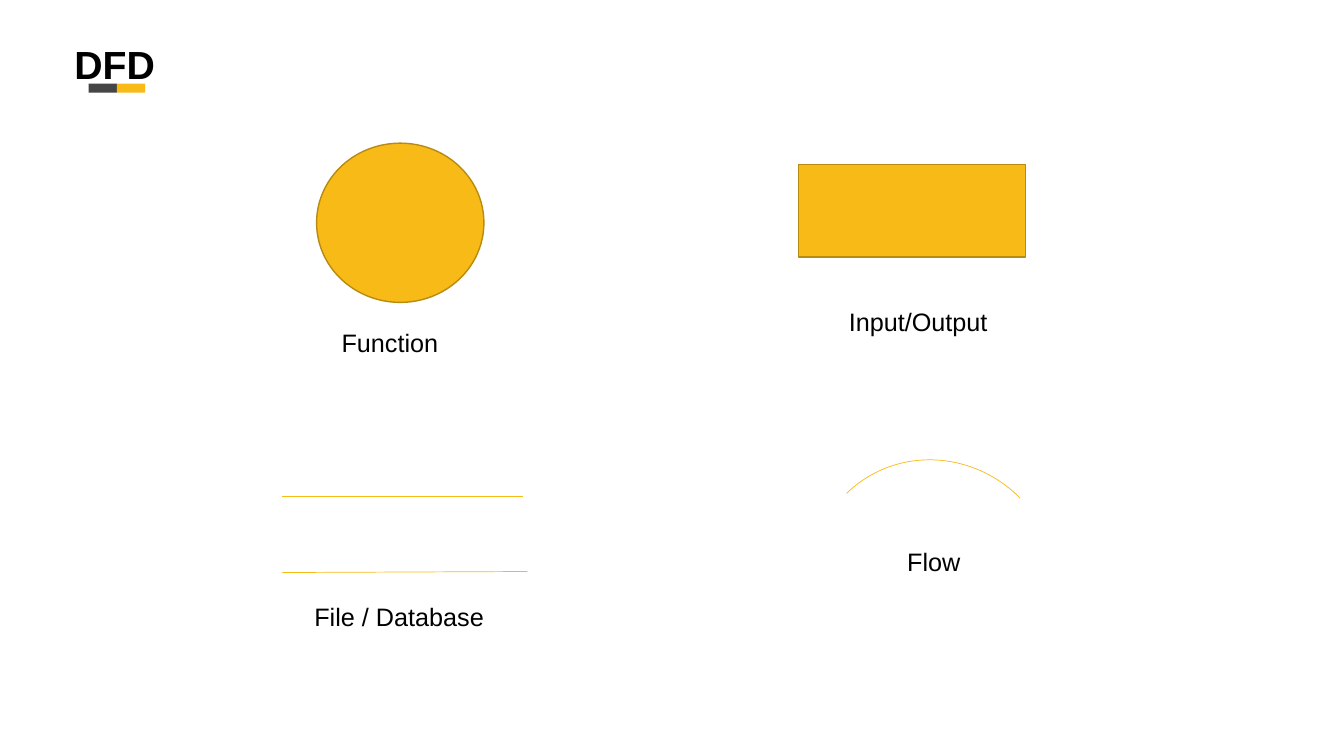
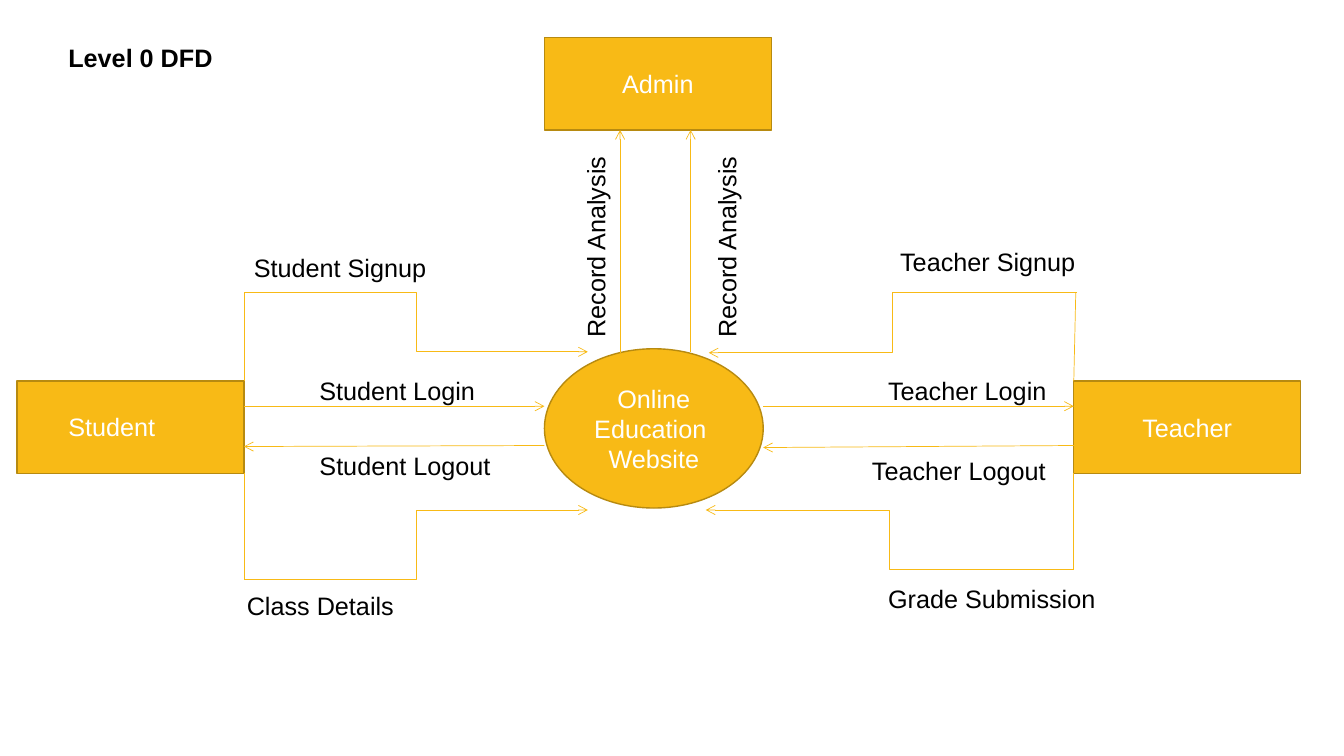
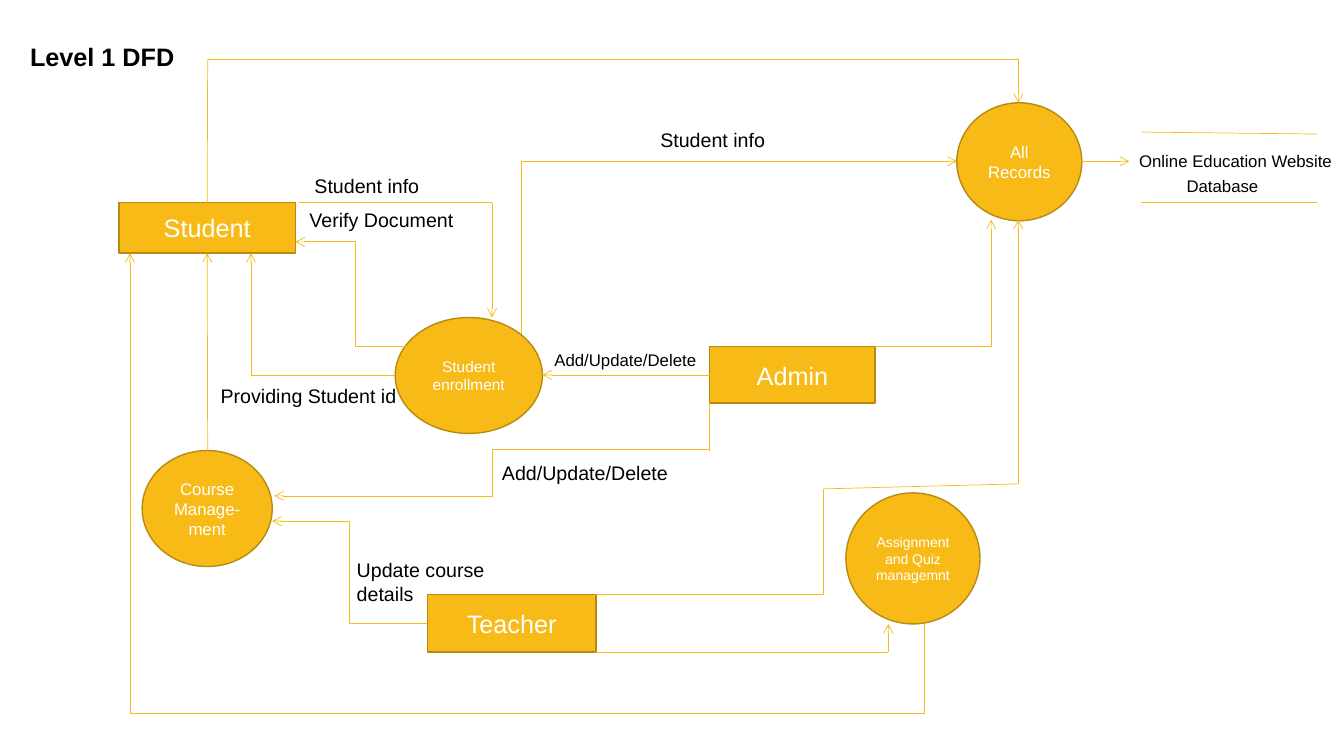
"""Build three slides on data flow diagrams: legend, level 0 and level 1."""
from itertools import pairwise

from lxml import etree
from pptx import Presentation
from pptx.dml.color import RGBColor
from pptx.enum import shapes, text
from pptx.oxml import ns
from pptx.util import Inches, Pt

AMBER = RGBColor(0xF8, 0xBA, 0x16)
BRONZE = RGBColor(0xB7, 0x8A, 0x10)
CHARCOAL = RGBColor(0x45, 0x45, 0x45)
BLACK = RGBColor(0, 0, 0)
WHITE = RGBColor(255, 255, 255)
FONT = "Arial"
RECT = shapes.MSO_SHAPE.RECTANGLE
OVAL = shapes.MSO_SHAPE.OVAL
STRAIGHT = shapes.MSO_CONNECTOR.STRAIGHT
ELBOW = shapes.MSO_CONNECTOR.ELBOW
LABEL_HEIGHT = {28: 0.57, 18: 0.4, 14: 0.34, 12: 0.3}

# Nodes: text, shape, left, top, width, height, size. Labels: text, left, top, width, options.
# A route point is a pair of inches, or a node's text with one of its connection sites.
LEGEND = {
    "title": ("DFD", 0.64, 0.35, 1.44, 28),
    "nodes": [
        ("", OVAL, 3.14, 1.42, 1.66, 1.58, 18),
        ("", RECT, 7.92, 1.63, 2.25, 0.92, 18),
    ],
    "labels": [
        ("Function", 3.29, 3.2, 1.17, {}),
        ("Input/Output", 8.32, 2.99, 1.59, {}),
        ("File / Database", 3.02, 5.92, 1.9, {}),
        ("Flow", 8.9, 5.37, 0.73, {}),
    ],
    "lines": [[(2.8, 4.92), (5.19, 4.92)], [(2.8, 5.68), (5.23, 5.67)]],
    "arrows": [],
    "elbows": [],
}

LEVEL_0 = {
    "title": ("Level 0 DFD", 0.58, 0.37, 1.83, 18),
    "nodes": [
        ("Online Education \nWebsite", OVAL, 5.4, 3.46, 2.17, 1.58, 18),
        ("Admin", RECT, 5.4, 0.37, 2.25, 0.92, 18),
        ("", RECT, 0.17, 3.78, 2.25, 0.92, 18),
        ("Teacher", RECT, 10.65, 3.78, 2.25, 0.92, 18),
    ],
    "labels": [
        ("Student", 0.58, 4.03, 1.42, {"color": WHITE, "wrap": True}),
        ("Student Login", 3.07, 3.67, 1.76, {}),
        ("Student Logout", 3.07, 4.42, 1.91, {}),
        ("Teacher Login", 8.71, 3.67, 1.79, {}),
        ("Teacher Logout", 8.55, 4.47, 1.94, {}),
        ("Student Signup", 2.42, 2.45, 1.93, {}),
        ("Class Details", 2.35, 5.81, 1.67, {}),
        ("Grade Submission", 8.71, 5.74, 2.28, {}),
        ("Teacher Signup", 8.83, 2.39, 1.96, {}),
        ("Record Analysis", 6.2, 2.24, 2.01, {"rotation": 270}),
        ("Record Analysis", 4.9, 2.24, 2.01, {"rotation": 270}),
    ],
    "lines": [
        [(2.42, 2.9), (2.42, 3.78)],
        [(2.42, 4.69), (2.42, 5.75)],
        [(10.67, 2.9), (10.65, 3.78)],
        [(10.65, 4.69), (10.65, 5.65)],
    ],
    "arrows": [
        [(7.57, 4.03), (10.65, 4.03)],
        [(10.65, 4.42), (7.57, 4.44)],
        [(2.42, 4.03), (5.4, 4.03)],
        [(5.4, 4.42), (2.42, 4.43)],
        [(6.15, 3.5), (6.15, 1.29)],
        [(6.85, 3.49), (6.85, 1.29)],
    ],
    "elbows": [
        [(2.42, 2.9), (5.83, 3.49)],
        [(2.42, 5.75), (5.83, 5.06)],
        [(10.65, 5.65), (7, 5.06)],
        [(10.68, 2.9), (7.03, 3.5)],
    ],
}

LEVEL_1 = {
    "title": ("Level 1 DFD", 0.2, 0.36, 1.79, 18),
    "nodes": [
        ("Student", RECT, 1.18, 2.01, 1.75, 0.5, 18),
        ("Teacher", RECT, 4.24, 5.9, 1.67, 0.57, 18),
        ("Admin", RECT, 7.04, 3.44, 1.64, 0.56, 18),
        ("Student enrollment", OVAL, 3.92, 3.15, 1.46, 1.15, 11),
        ("Course Manage-ment", OVAL, 1.41, 4.47, 1.29, 1.15, 12),
        ("All Records", OVAL, 9.49, 1.02, 1.24, 1.17, 12),
        ("Assignment and Quiz managemnt", OVAL, 8.39, 4.89, 1.33, 1.3, 10),
    ],
    "labels": [
        ("Add/Update/Delete", 4.88, 4.52, 2.19, {"size": 14, "wrap": True}),
        ("Update course\ndetails", 3.44, 5.49, 1.53, {"size": 14}),
        ("Verify Document", 2.97, 2.01, 1.64, {"size": 14}),
        ("Student info", 3.02, 1.68, 1.25, {"size": 14}),
        ("Providing Student id", 2.09, 3.76, 1.96, {"size": 14}),
        ("Student info", 6.45, 1.22, 1.25, {"size": 14}),
        ("Online Education Website", 11.2, 1.45, 2.13, {"size": 12}),
        ("Database", 11.67, 1.69, 0.92, {"size": 12}),
        ("Add/Update/Delete", 5.4, 3.42, 1.62, {"size": 12}),
    ],
    "lines": [
        [(7.04, 4.47), (7.04, 4)],
        [(11.32, 1.31), (13.06, 1.33)],
        [(11.32, 2.01), (13.06, 2.01)],
    ],
    "arrows": [
        [("Admin", 1), (5.38, 3.72)],
        [(2.06, 4.47), ("Student", 2)],
        [(3.92, 3.72), (2.49, 3.72), (2.49, 2.51)],
        [(2.97, 2.01), (4.88, 2.01), (4.88, 3.15)],
        [(9.17, 6.19), (9.17, 7.08), (1.29, 7.08), (1.29, 2.51)],
        [(5.9, 6.47), (8.81, 6.47), (8.81, 6.19)],
        [(5.9, 5.9), (8.17, 5.9), (8.17, 4.85), (10.1, 4.8), (10.1, 2.18)],
        [(8.68, 3.44), (9.83, 3.44), (9.83, 2.18)],
        [(10.72, 1.6), (11.2, 1.6)],
        [("Student", 0), (2.06, 0.59), (10.1, 0.59), (10.1, 1.02)],
    ],
    "elbows": [
        [(4.11, 3.44), (2.93, 2.4)],
        [("Teacher", 1), (2.7, 5.17)],
        [(7.04, 4.46), (2.72, 4.92)],
    ],
}
RECORD_FLOW = ((5.17, 3.31), (9.49, 1.6))


def write(frame, content, size=18, color=BLACK, bold=False, align=text.PP_ALIGN.LEFT):
    """Fill a text frame, one paragraph a line."""
    for number, line in enumerate(content.split("\n")):
        paragraph = frame.add_paragraph() if number else frame.paragraphs[0]
        paragraph.alignment = align
        run = paragraph.add_run()
        run.text = line
        run.font.name, run.font.size = FONT, Pt(size)
        run.font.bold, run.font.color.rgb = bold, color


def add_label(slide, content, left, top, width, size=18, rotation=0, wrap=False, **style):
    """Place free text whose height follows its size."""
    label = slide.shapes.add_textbox(
        Inches(left), Inches(top), Inches(width), Inches(LABEL_HEIGHT[size]))
    label.rotation = rotation
    label.text_frame.word_wrap = wrap
    label.text_frame.auto_size = text.MSO_AUTO_SIZE.SHAPE_TO_FIT_TEXT
    write(label.text_frame, content, size, **style)


def add_node(slide, kind, left, top, width, height, fill=AMBER, edge=BRONZE, weight=1):
    """Draw a preset shape; a missing fill or edge is left clear."""
    node = slide.shapes.add_shape(
        kind, Inches(left), Inches(top), Inches(width), Inches(height))
    node.shadow.inherit = False
    if fill is None:
        node.fill.background()
    else:
        node.fill.solid()
        node.fill.fore_color.rgb = fill
    if edge is None:
        node.line.fill.background()
    else:
        node.line.color.rgb, node.line.width = edge, Pt(weight)
    return node


def add_leg(slide, nodes, kind, start, end, arrow):
    """Draw one connector and join the ends that name a node."""
    fixed = [point for point in (start, end) if not isinstance(point[0], str)]
    ends = [Inches(value) for point in (fixed[0], fixed[-1]) for value in point]
    leg = slide.shapes.add_connector(kind, *ends)
    leg.line.color.rgb, leg.line.width = AMBER, Pt(0.5)
    if arrow:
        etree.SubElement(leg.line._get_or_add_ln(), ns.qn("a:tailEnd"), type="arrow")
    etree.SubElement(leg._element.spPr, ns.qn("a:effectLst"))
    if isinstance(start[0], str):
        leg.begin_connect(nodes[start[0]], start[1])
    if isinstance(end[0], str):
        leg.end_connect(nodes[end[0]], end[1])
    return leg


def add_corner(slide, start, end):
    """Draw a one-bend arrow that rises and then runs right."""
    (x1, y1), (x2, y2) = start, end
    across, down = (x1 + x2) / 2, (y1 + y2) / 2
    half_width, half_height = (y1 - y2) / 2, (x2 - x1) / 2
    corner = add_leg(slide, {}, ELBOW, (across + half_width, down + half_height),
                     (across - half_width, down - half_height), True)
    properties = corner._element.spPr
    properties.find(ns.qn("a:prstGeom")).set("prst", "bentConnector2")
    properties.find(ns.qn("a:xfrm")).set("rot", "5400000")


def add_diagram(deck, diagram):
    """Build a slide with its title, nodes, routes and labels."""
    slide = deck.slides.add_slide(deck.slide_layouts[6])
    nodes = {}
    for content, kind, left, top, width, height, size in diagram["nodes"]:
        node = add_node(slide, kind, left, top, width, height)
        if content:
            nodes[content] = node
            node.text_frame.word_wrap = True
            node.text_frame.vertical_anchor = text.MSO_ANCHOR.MIDDLE
            write(node.text_frame, content, size, WHITE, align=text.PP_ALIGN.CENTER)
    for group, kind in (("lines", STRAIGHT), ("arrows", STRAIGHT), ("elbows", ELBOW)):
        for route in diagram[group]:
            for start, end in pairwise(route):
                arrow = group != "lines" and end == route[-1]
                add_leg(slide, nodes, kind, start, end, arrow)
    for content, left, top, width, options in diagram["labels"]:
        add_label(slide, content, left, top, width, **options)
    add_label(slide, *diagram["title"], bold=True, wrap=True)
    return slide


def main():
    """Assemble the deck and save it."""
    deck = Presentation()
    deck.slide_width, deck.slide_height = Inches(13.33), Inches(7.5)
    legend, _, level_1 = [add_diagram(deck, diagram) for diagram in (LEGEND, LEVEL_0, LEVEL_1)]
    flow = add_node(legend, shapes.MSO_SHAPE.ARC, 8.07, 4.54, 2.39, 2.48,
                    fill=None, edge=AMBER, weight=0.5)
    flow.rotation = 315.5
    for column, color in enumerate((CHARCOAL, AMBER)):
        add_node(legend, RECT, 0.88 + 0.28 * column, 0.83, 0.28, 0.09, fill=color, edge=None)
    add_corner(level_1, *RECORD_FLOW)
    deck.save("out.pptx")


if __name__ == "__main__":
    main()
